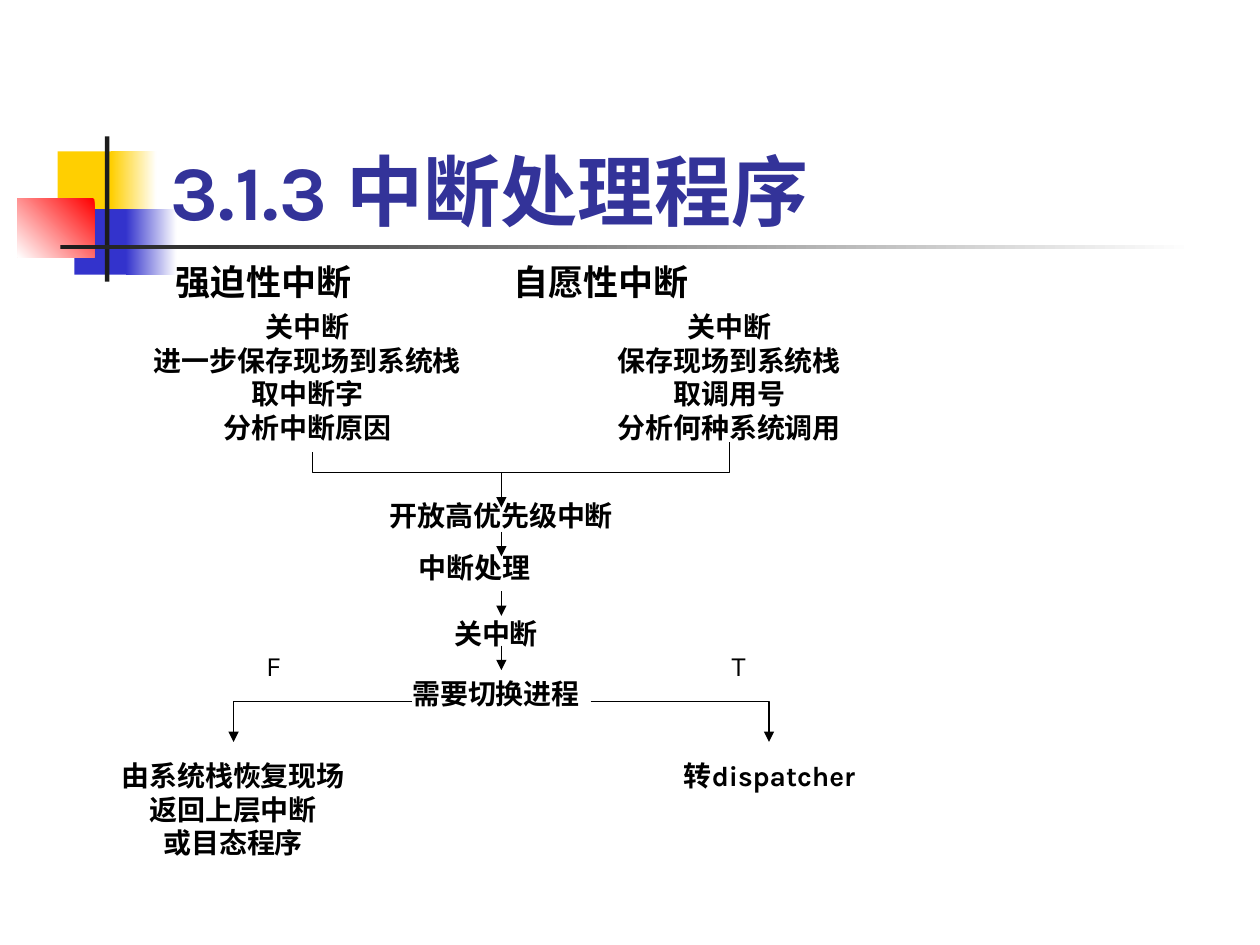
from dataclasses import dataclass
from typing import Optional

from lxml.etree import SubElement
from pptx import Presentation
from pptx.dml.color import RGBColor as Rgb
from pptx.enum.lang import MSO_LANGUAGE_ID as Lang
from pptx.enum.shapes import MSO_CONNECTOR as Wire, MSO_SHAPE as Form
from pptx.enum.text import MSO_ANCHOR as Anchor, PP_ALIGN as Align
from pptx.oxml.ns import qn
from pptx.util import Pt


@dataclass(frozen=True)
class Theme:
    font: str = "Karla"
    title: float = 44
    head: float = 20
    body: float = 16
    rule: float = 0.75
    black: str = "000000"
    white: str = "FFFFFF"
    navy: str = "333399"
    yellow: str = "FFCF01"
    blue: str = "3333CC"
    red: str = "FF0000"
    dark: str = "1C1C1C"


THEME = Theme()


@dataclass(frozen=True)
class Block:
    left: float
    top: float
    width: float
    height: float
    color: str
    fade: Optional[str] = None
    angle: float = 0


@dataclass(frozen=True)
class Label:
    left: float
    top: float
    width: float
    height: float
    lines: tuple[str, ...]
    size: float = THEME.body
    color: str = THEME.black
    bold: bool = True
    align: Align = Align.CENTER
    anchor: Anchor = Anchor.TOP
    indent: float = 0


BLOCKS = (
    Block(33, 86.5, 34.5, 37.5, THEME.yellow),
    Block(63.5, 86.5, 26, 37.5, THEME.yellow, THEME.white),
    Block(42.5, 119.5, 33, 37.5, THEME.blue),
    Block(72, 119.5, 29, 37.5, THEME.blue, THEME.white),
    Block(10, 113.5, 44, 33.5, THEME.red, THEME.white, 225),
    Block(60, 78, 2.5, 83, THEME.dark),
    Block(34.5, 140, 648, 2.5, THEME.dark, THEME.white),
)

LEFT = Align.LEFT
HANDLE = Label(196, 311, 181, 27, ("中断处理",), align=LEFT, indent=36)
LABELS = (
    Label(90.5, 48.5, 613.5, 90, ("3.1.3 中断处理程序",), THEME.title,
          THEME.navy, align=LEFT, anchor=Anchor.BOTTOM),
    Label(93.5, 145.5, 136, 31.5, ("强迫性中断",), THEME.head, align=LEFT),
    Label(286.5, 145.5, 136, 31.5, ("自愿性中断",), THEME.head, align=LEFT),
    Label(76.5, 173.5, 198.5, 84,
          ("关中断", "进一步保存现场到系统栈", "取中断字", "分析中断原因")),
    Label(337.5, 173.5, 158.5, 84,
          ("关中断", "保存现场到系统栈", "取调用号", "分析何种系统调用")),
    Label(196, 281.5, 181, 27, ("开放高优先级中断",)),
    HANDLE,
    Label(224, 349, 119, 27, ("关中断",)),
    Label(224, 383, 119, 27, ("需要切换进程",)),
    Label(145, 367, 23, 27, ("F",), bold=False, align=LEFT),
    Label(411, 367, 23, 27, ("T",), bold=False, align=LEFT),
    Label(59.5, 430, 147.5, 65, ("由系统栈恢复现场", "返回上层中断", "或目态程序")),
    Label(337.5, 430, 204.5, 46, ("转dispatcher",)),
)

AXIS = 286.5
ARROWS = ((270, 290), (304, 318), (338, 352), (369, 383))
MERGE = ((178.5, 258.5), (178.5, 270), (417, 270), (417, 252.5))


def draw_block(slide, block: Block) -> None:
    shape = slide.shapes.add_shape(
        Form.RECTANGLE, Pt(block.left), Pt(block.top), Pt(block.width), Pt(block.height))
    shape.shadow.inherit = False
    shape.line.fill.background()
    if block.fade is None:
        shape.fill.solid()
        shape.fill.fore_color.rgb = Rgb.from_string(block.color)
        return
    shape.fill.gradient()
    shape.fill.gradient_angle = block.angle
    for stop, color in zip(shape.fill.gradient_stops, (block.color, block.fade)):
        stop.color.rgb = Rgb.from_string(color)


def draw_label(slide, label: Label):
    box = slide.shapes.add_textbox(
        Pt(label.left), Pt(label.top), Pt(label.width), Pt(label.height))
    frame = box.text_frame
    frame.word_wrap = True
    frame.vertical_anchor = label.anchor
    for place, line in enumerate(label.lines):
        para = frame.add_paragraph() if place else frame.paragraphs[0]
        para.alignment = label.align
        if label.indent:
            para._p.get_or_add_pPr().set("marL", str(Pt(label.indent)))
        run = para.add_run()
        run.text = line
        font = run.font
        font.name = THEME.font
        font.size = Pt(label.size)
        font.bold = label.bold
        font.color.rgb = Rgb.from_string(label.color)
        font.language_id = Lang.SIMPLIFIED_CHINESE
    return box


def style_line(line, arrow: bool) -> None:
    line.color.rgb = Rgb.from_string(THEME.black)
    line.width = Pt(THEME.rule)
    if arrow:
        SubElement(line._get_or_add_ln(), qn("a:tailEnd"), type="triangle")


def draw_path(slide, points: tuple[tuple[float, float], ...], arrow: bool) -> None:
    spots = [(Pt(x), Pt(y)) for x, y in points]
    pen = slide.shapes.build_freeform(*spots[0])
    pen.add_line_segments(spots[1:], close=False)
    shape = pen.convert_to_shape()
    shape.shadow.inherit = False
    shape.fill.background()
    style_line(shape.line, arrow)


def draw_arrow(slide, top: float, end: float):
    wire = slide.shapes.add_connector(
        Wire.STRAIGHT, Pt(AXIS), Pt(top), Pt(AXIS), Pt(end))
    style_line(wire.line, True)
    SubElement(wire._element.spPr, qn("a:effectLst"))
    return wire


def main() -> None:
    deck = Presentation()
    deck.slide_width, deck.slide_height = Pt(720), Pt(540)
    slide = deck.slides.add_slide(deck.slide_layouts[6])
    for block in BLOCKS:
        draw_block(slide, block)
    boxes = {label: draw_label(slide, label) for label in LABELS}
    draw_path(slide, MERGE, False)
    for side in (-1, 1):
        near, far = AXIS + side * 51, AXIS + side * 153
        draw_path(slide, ((near, 401), (far, 401), (far, 424)), True)
    wires = [draw_arrow(slide, top, end) for top, end in ARROWS]
    wires[2].begin_connect(boxes[HANDLE], 2)
    deck.save("out.pptx")


if __name__ == "__main__":
    main()
